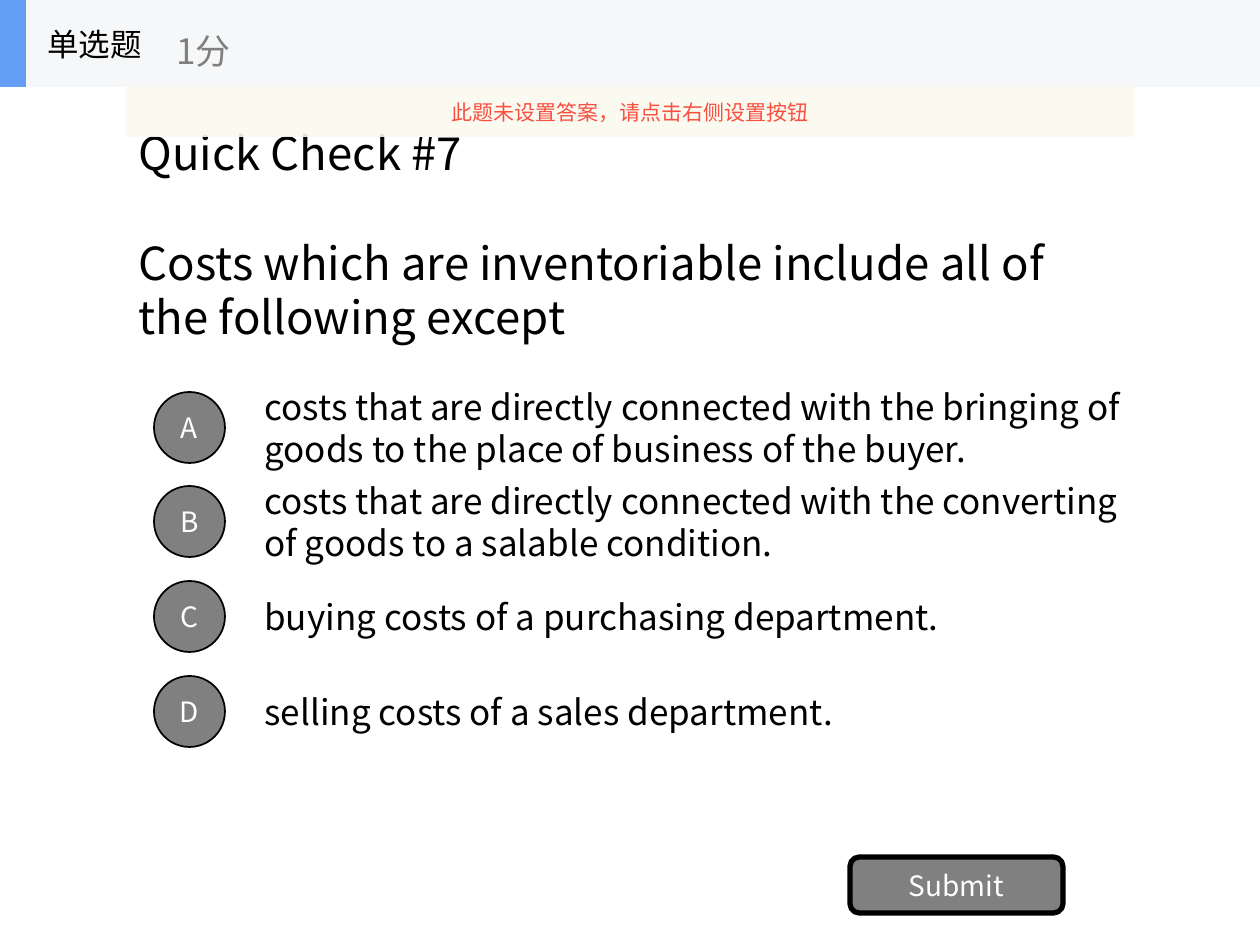
from lxml import etree
from pptx import Presentation
from pptx.dml.color import RGBColor
from pptx.enum.shapes import MSO_SHAPE
from pptx.enum.text import MSO_ANCHOR, MSO_AUTO_SIZE, PP_ALIGN
from pptx.oxml.ns import qn
from pptx.util import Pt

RECT, OVAL, ROUNDED = MSO_SHAPE.RECTANGLE, MSO_SHAPE.OVAL, MSO_SHAPE.ROUNDED_RECTANGLE
LEFT, CENTER = PP_ALIGN.LEFT, PP_ALIGN.CENTER

# Content
QUESTION = ["Quick Check #7",
            "Costs which are inventoriable include all of the following except"]
OPTIONS = [
    ("A", "costs that are directly connected with the bringing of goods to the place of business of the buyer."),
    ("B", "costs that are directly connected with the converting of goods to a salable condition."),
    ("C", "buying costs of a purchasing department."),
    ("D", "selling costs of a sales department."),
]
SUBMIT = "Submit"
QUESTION_TYPE = "单选题"
SCORE = "1分"
WARNING = "此题未设置答案，请点击右侧设置按钮"

THEME = {
    "font": "Noto Sans CJK SC",
    "ink": "000000", "button": "808080", "on_button": "FFFFFF", "muted": "808080",
    "header": "F6F7F8", "accent": "639EF4", "banner": "FBFAEF", "alert": "F84F41",
    "question": 26, "option": 20, "score": 20, "type": 18, "label": 16, "warning": 12,
}
LINE_HEIGHT = 1.2

# Layout in px, 126 to the inch
SLIDE_W, SLIDE_H = 1260, 945
HEADER_H = 87
BODY_X, BODY_W = 126, 1008
OPTION_X, OPTION_Y, OPTION_W, OPTION_H = 252, 384, 882, 88
OPTION_PITCH = 94.5
BADGE_X, BADGE_SIZE = 154, 71


def px(length):
    return round(length * 914400 / 126)


def color(name):
    return RGBColor.from_string(THEME[name])


def write(shape, paragraphs, size, ink="ink", align=LEFT, gap=0, inset=None):
    """Fill a shape with paragraphs; gap is the space between them in points."""
    frame = shape.text_frame
    frame.word_wrap = True
    frame.auto_size = MSO_AUTO_SIZE.NONE
    frame.vertical_anchor = MSO_ANCHOR.MIDDLE
    if inset is not None:
        frame.margin_left = frame.margin_right = px(inset)
    for i, words in enumerate(paragraphs):
        paragraph = frame.paragraphs[0] if i == 0 else frame.add_paragraph()
        paragraph.alignment = align
        paragraph.line_spacing = Pt(THEME[size] * LINE_HEIGHT)
        paragraph.space_before = Pt(gap if i else 0)
        run = paragraph.add_run()
        run.text = words
        run.font.size = Pt(THEME[size])
        run.font.color.rgb = color(ink)
        run.font.name = THEME["font"]
        east_asian = etree.SubElement(run.font._element, qn("a:ea"))
        east_asian.set("typeface", THEME["font"])


def add_block(shapes, kind, box, fill, line_width=0):
    block = shapes.add_shape(kind, *map(px, box))
    block.shadow.inherit = False
    block.fill.solid()
    block.fill.fore_color.rgb = color(fill)
    if line_width:
        block.line.color.rgb = color("ink")
        block.line.width = Pt(line_width)
    else:
        block.line.fill.background()
    return block


def add_label(shapes, box, words, size, **style):
    write(shapes.add_textbox(*map(px, box)), [words], size, **style)


prs = Presentation()
prs.slide_width, prs.slide_height = px(SLIDE_W), px(SLIDE_H)
slide = prs.slides.add_slide(prs.slide_layouts[5])

# Question
question = slide.shapes.title
question.left, question.top = px(BODY_X), px(HEADER_H)
question.width, question.height = px(BODY_W), px(295)
write(question, QUESTION, "question", gap=THEME["question"] * LINE_HEIGHT)

# Options with their letter badges
for row, (letter, answer) in enumerate(OPTIONS):
    top = round(OPTION_Y + row * OPTION_PITCH)
    add_label(slide.shapes, (OPTION_X, top, OPTION_W, OPTION_H), answer, "option")
    badge_top = top + (OPTION_H - BADGE_SIZE) // 2
    badge = add_block(slide.shapes, OVAL, (BADGE_X, badge_top, BADGE_SIZE, BADGE_SIZE), "button", 1)
    write(badge, [letter], "label", ink="on_button", align=CENTER, inset=0)

# Submit button
submit = add_block(slide.shapes, ROUNDED, (850, 857, 213, 56), "button", 3)
write(submit, [SUBMIT], "label", ink="on_button", align=CENTER)

# Header bar
header = slide.shapes.add_group_shape().shapes
add_block(header, RECT, (0, 0, SLIDE_W, HEADER_H), "header")
add_block(header, RECT, (0, 0, 26, HEADER_H), "accent")
add_label(header, (35, 0, 262, HEADER_H), QUESTION_TYPE, "type")
add_label(header, (164, 15, 315, 71), SCORE, "score", ink="muted")

# Warning banner, slightly see-through
banner = add_block(slide.shapes, RECT, (BODY_X, HEADER_H, BODY_W, 50), "banner")
tint = banner._element.spPr.find(qn("a:solidFill"))[0]
etree.SubElement(tint, qn("a:alpha")).set("val", "90000")
write(banner, [WARNING], "warning", ink="alert", align=CENTER)

prs.save("out.pptx")
